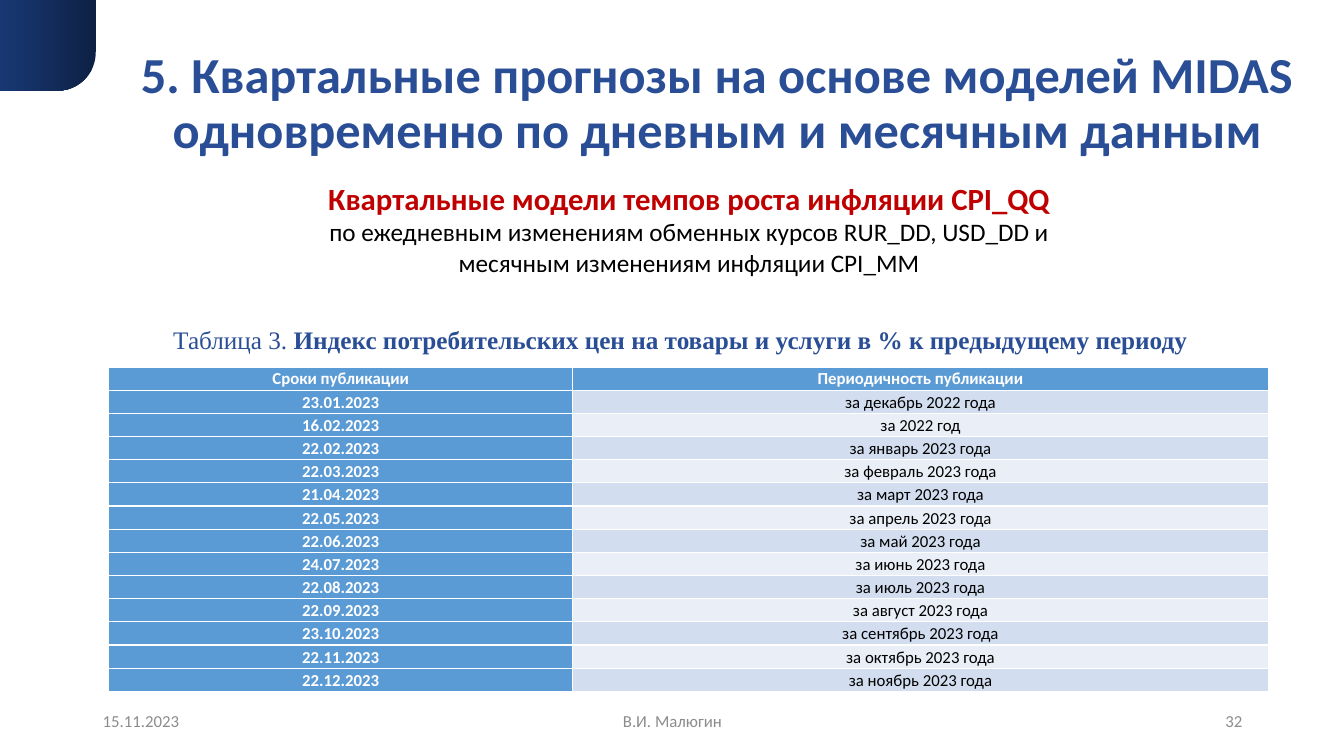
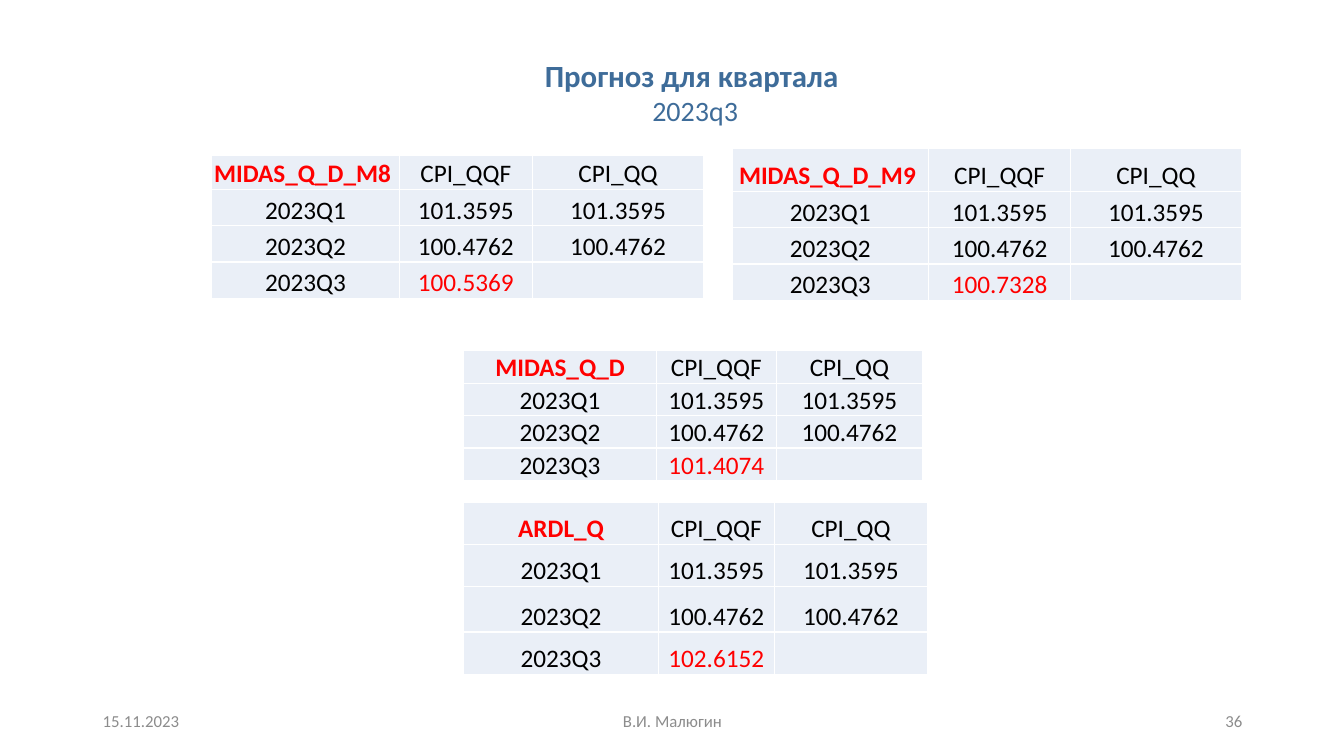
from pptx import Presentation
from pptx.dml.color import RGBColor
from pptx.enum.shapes import MSO_SHAPE
from pptx.enum.text import MSO_ANCHOR, MSO_AUTO_SIZE, PP_ALIGN
from pptx.util import Inches, Pt

LEFT, CENTER, RIGHT = PP_ALIGN.LEFT, PP_ALIGN.CENTER, PP_ALIGN.RIGHT
TOP, MIDDLE, BOTTOM = MSO_ANCHOR.TOP, MSO_ANCHOR.MIDDLE, MSO_ANCHOR.BOTTOM
NO_AUTOFIT = MSO_AUTO_SIZE.NONE
CORNER_SHAPE = MSO_SHAPE.ROUND_1_RECTANGLE

hex_color = RGBColor.from_string
NAVY, STEEL, GRAY, BLACK, WHITE = "2A4E96", "3E6C99", "8C8C8C", "000000", "FFFFFF"
DARK_RED, RED = "C00000", "FF0000"
HEAD_FILL, BAND_DARK, BAND_LIGHT = "5B9BD5", "D2DEEF", "EAEFF7"

STYLES = {
    "title": (NAVY, {"size": Pt(36), "bold": True, "name": "Calibri"}),
    "forecast title": (STEEL, {"size": Pt(22), "bold": True, "name": "Calibri"}),
    "quarter": (STEEL, {"size": Pt(20), "bold": False, "name": "Calibri"}),
    "footer": (GRAY, {"size": Pt(12), "bold": False, "name": "Calibri"}),
    "subtitle": (DARK_RED, {"size": Pt(22), "bold": True, "name": "Calibri"}),
    "body": (BLACK, {"size": Pt(18), "bold": False, "name": "Calibri"}),
    "caption": (NAVY, {"size": Pt(18), "bold": False, "name": "Times New Roman"}),
    "caption bold": (NAVY, {"size": Pt(18), "bold": True, "name": "Times New Roman"}),
    "date head": (WHITE, {"size": Pt(12), "bold": True, "name": "Calibri"}),
    "period": (BLACK, {"size": Pt(12), "bold": False, "name": "Calibri"}),
    "model": (RED, {"size": Pt(18), "bold": True, "name": "Calibri"}),
    "forecast": (RED, {"size": Pt(18), "bold": False, "name": "Calibri"}),
}


def write(frame, lines, anchor=TOP):
    frame.word_wrap = True
    frame.vertical_anchor = anchor
    for index, (align, spacing, spans) in enumerate(lines):
        para = frame.paragraphs[0] if index == 0 else frame.add_paragraph()
        para.alignment = align
        para.line_spacing = spacing
        para.space_before = Pt(0)
        for text, style in spans:
            span = para.add_run()
            span.text = text
            color, formats = STYLES[style]
            span.font.color.rgb = hex_color(color)
            for name, value in formats.items():
                setattr(span.font, name, value)


def add_grid(page, left, top, widths, heights, rows, anchor, has_head):
    frame = page.shapes.add_table(
        len(rows), len(widths), Inches(left), Inches(top),
        Inches(sum(widths)), Inches(sum(heights)))
    table = frame.table
    table.first_row = has_head
    table.horz_banding = False
    for column, width in zip(table.columns, widths):
        column.width = Inches(width)
    for row, height, values in zip(table.rows, heights, rows):
        row.height = Inches(height)
        for cell, (text, style, fill) in zip(row.cells, values):
            cell.fill.solid()
            cell.fill.fore_color.rgb = hex_color(fill)
            for side in ("left", "top", "right", "bottom"):
                setattr(cell, "margin_" + side, 0)
            cell.vertical_anchor = anchor
            if text:
                write(cell.text_frame, [(CENTER, 1.07, [(text, style)])], anchor)


deck = Presentation()
deck.slide_width, deck.slide_height = Inches(13.33), Inches(7.5)
title_only = deck.slide_layouts[5]

PAGES = [
    ("32", (1.08, 0.45, 12.07, 1.29), [
        (CENTER, 0.9, [("5. Квартальные прогнозы на основе моделей MIDAS "
                        "одновременно по дневным и месячным данным", "title")])]),
    ("36", (2.85, 0.55, 8.09, 0.91), [
        (CENTER, 0.9, [("Прогноз для квартала ", "forecast title")]),
        (CENTER, 1.0, [("2023q3", "quarter")])]),
]
pages = []
for number, place, title_lines in PAGES:
    page = deck.slides.add_slide(title_only)
    title = page.shapes.title
    title.left, title.top, title.width, title.height = map(Inches, place)
    write(title.text_frame, title_lines)
    title.text_frame.auto_size = NO_AUTOFIT
    for text, left, width, align in [
        ("15.11.2023", 0.92, 3, LEFT),
        ("В.И. Малюгин", 4.42, 4.5, CENTER),
        (number, 9.42, 3, RIGHT),
    ]:
        box = page.shapes.add_textbox(Inches(left), Inches(6.95), Inches(width), Inches(0.4))
        write(box.text_frame, [(align, 1.0, [(text, "footer")])], MIDDLE)
    pages.append(page)
schedule_page, forecast_page = pages

corner = schedule_page.shapes.add_shape(CORNER_SHAPE, 0, 0, Inches(0.95), Inches(0.9))
corner.adjustments[0] = 0.42
corner.shadow.inherit = False
corner.line.fill.background()
corner.fill.gradient()
corner.fill.gradient_angle = 180
for stop, color in zip(corner.fill.gradient_stops, ("0E2145", "183874")):
    stop.color.rgb = hex_color(color)
corner.element.spPr.xfrm.set("flipV", "1")

box = schedule_page.shapes.add_textbox(Inches(2), Inches(1.71), Inches(9.67), Inches(1.1))
write(box.text_frame, [
    (CENTER, 1.07, [("Квартальные модели темпов роста инфляции CPI_QQ", "subtitle")]),
    (CENTER, 1.0, [("по ежедневным изменениям обменных курсов RUR_DD, USD_DD и", "body")]),
    (CENTER, 1.0, [("месячным изменениям инфляции CPI_MM", "body")]),
])

box = schedule_page.shapes.add_textbox(Inches(1.62), Inches(3.15), Inches(10.6), Inches(0.41))
write(box.text_frame, [(LEFT, 1.07, [
    ("Таблица 3. ", "caption"),
    ("Индекс потребительских цен на товары и услуги в % к предыдущему периоду", "caption bold"),
])])

SCHEDULE = [
    ("23.01.2023", "за декабрь 2022 года"),
    ("16.02.2023", "за 2022 год"),
    ("22.02.2023", "за январь 2023 года"),
    ("22.03.2023", "за февраль 2023 года"),
    ("21.04.2023", "за март 2023 года"),
    ("22.05.2023", "за апрель 2023 года"),
    ("22.06.2023", "за май 2023 года"),
    ("24.07.2023", "за июнь 2023 года"),
    ("22.08.2023", "за июль 2023 года"),
    ("22.09.2023", "за август 2023 года"),
    ("23.10.2023", "за сентябрь 2023 года"),
    ("22.11.2023", "за октябрь 2023 года"),
    ("22.12.2023", "за ноябрь 2023 года"),
]
rows = [[(text, "date head", HEAD_FILL)
         for text in ("Сроки публикации", "Периодичность публикации")]]
for index, (date, period) in enumerate(SCHEDULE):
    band = BAND_LIGHT if index % 2 else BAND_DARK
    rows.append([(date, "date head", HEAD_FILL), (period, "period", band)])
add_grid(schedule_page, 1.08, 3.64, (4.6, 6.9), [0.23] * len(rows), rows, MIDDLE, True)

FORECASTS = [
    ("ARDL_Q", "102.6152", 4.6, 4.98, (1.93, 1.15, 1.52), (0.42, 0.42, 0.45, 0.42)),
    ("MIDAS_Q_D", "101.4074", 4.6, 3.48, (1.91, 1.19, 1.45), [0.31] * 4),
    ("MIDAS_Q_D_M8 ", "100.5369", 2.1, 1.54, (1.86, 1.32, 1.7), (0.34, 0.36, 0.36, 0.36)),
    ("MIDAS_Q_D_M9 ", "100.7328", 7.26, 1.47, (1.95, 1.41, 1.69), (0.43, 0.36, 0.36, 0.36)),
]
for model, forecast, left, top, widths, heights in FORECASTS:
    values = [
        (model, "CPI_QQF", "CPI_QQ"),
        ("2023Q1", "101.3595", "101.3595"),
        ("2023Q2", "100.4762", "100.4762"),
        ("2023Q3", forecast, ""),
    ]
    accents = {model: "model", forecast: "forecast"}
    rows = [[(text, accents.get(text, "body"), BAND_LIGHT) for text in line] for line in values]
    add_grid(forecast_page, left, top, widths, heights, rows, BOTTOM, False)

deck.save("out.pptx")
